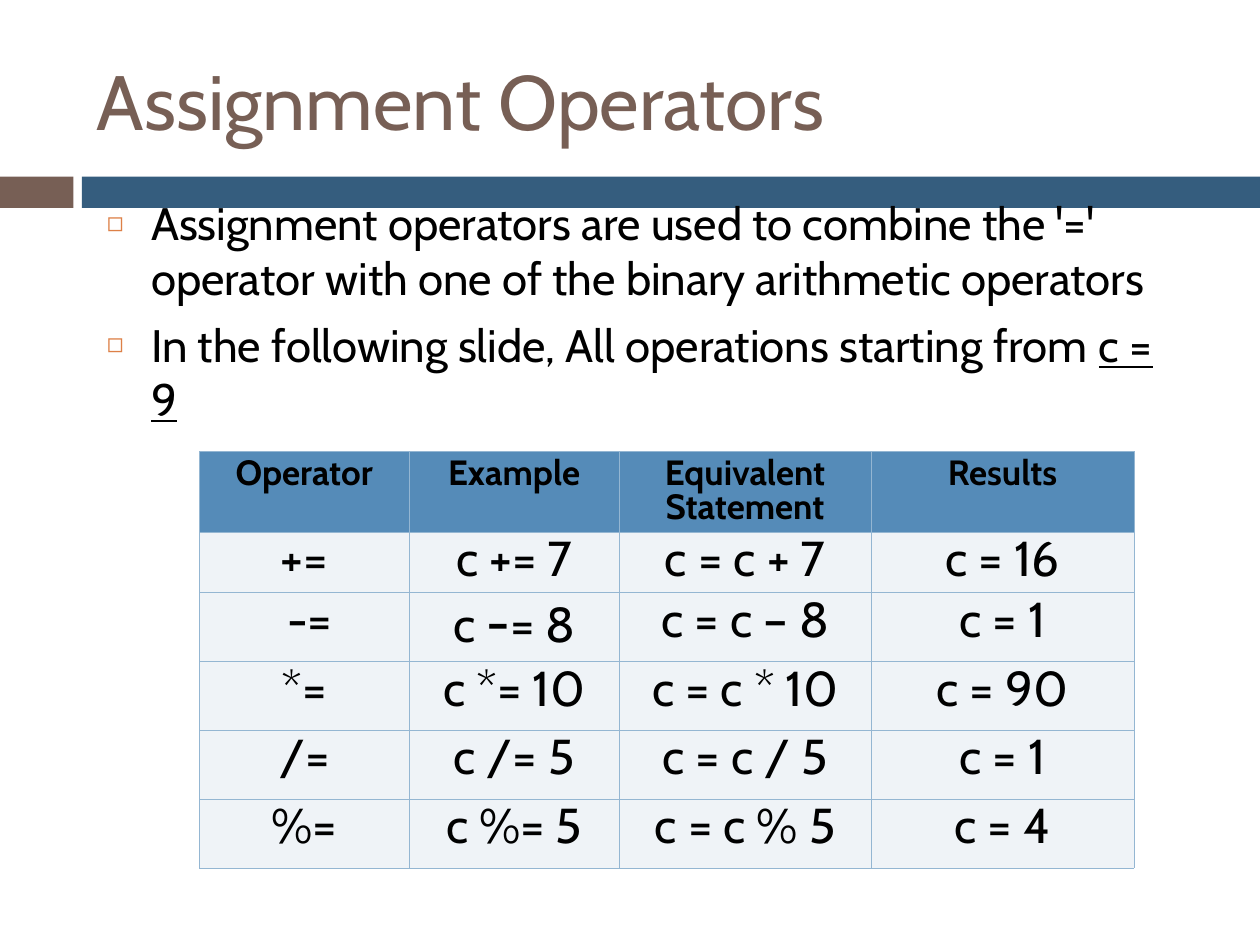
from lxml.etree import SubElement
from pptx import Presentation
from pptx.dml.color import RGBColor
from pptx.enum.shapes import MSO_SHAPE
from pptx.enum.text import MSO_ANCHOR, MSO_AUTO_SIZE, PP_ALIGN
from pptx.oxml import parse_xml
from pptx.oxml.ns import nsdecls, qn
from pptx.util import Cm, Pt


def color(value):
    return RGBColor.from_string(value)


def style(span, size, value="000000", bold=False):
    span.font.name = "Cabin"
    span.font.size = Pt(size)
    span.font.bold = bold
    span.font.color.rgb = color(value)


deck = Presentation()
deck.slide_width = Cm(25.4)
deck.slide_height = Cm(19.05)
page = deck.slides.add_slide(deck.slide_layouts[1])
title, body = page.placeholders

for left, width, fill in [(0, 1.48, "775F55"), (1.65, 23.75, "355D7E")]:
    bar = page.shapes.add_shape(MSO_SHAPE.RECTANGLE, Cm(left), Cm(3.56), Cm(width), Cm(0.63))
    bar.shadow.inherit = False
    bar.fill.solid()
    bar.fill.fore_color.rgb = color(fill)
    bar.line.fill.background()
    title.element.addprevious(bar.element)

title.left, title.top, title.width, title.height = Cm(1.7), Cm(0.64), Cm(22.65), Cm(2.75)
title.text_frame.text = "Assignment Operators"
title.text_frame.auto_size = MSO_AUTO_SIZE.NONE
title.text_frame.vertical_anchor = MSO_ANCHOR.MIDDLE
heading = title.text_frame.paragraphs[0]
heading.alignment = PP_ALIGN.LEFT
style(heading.runs[0], 44, "775F55")

body.left, body.top, body.width, body.height = Cm(1.9), Cm(3.81), Cm(21.6), Cm(13.55)
body.text_frame.text = (
    "Assignment operators are used to combine the '=' operator "
    "with one of the binary arithmetic operators\n"
    "In the following slide, All operations starting from "
)
body.text_frame.auto_size = MSO_AUTO_SIZE.NONE
start_value = body.text_frame.paragraphs[1].add_run()
start_value.text = "c = 9"
start_value.font.underline = True
for para in body.text_frame.paragraphs:
    para.space_before = Pt(7)
    for span in para.runs:
        style(span, 26)
    properties = para._p.get_or_add_pPr()
    properties.set("marL", str(Cm(0.89)))
    properties.set("indent", str(-Cm(0.89)))
    bullet_color = SubElement(properties, qn("a:buClr"))
    SubElement(bullet_color, qn("a:srgbClr"), val="DD8047")
    SubElement(properties, qn("a:buSzPct"), val="60000")
    SubElement(properties, qn("a:buChar"), char="◻")

rows = [
    ["Operator", "Example", "Equivalent Statement", "Results"],
    ["+=", "c += 7", "c = c + 7", "c = 16"],
    [" -=", "c -= 8", "c = c – 8", "c = 1"],
    ["*=", "c *= 10", "c = c * 10", "c = 90"],
    ["/=", "c /= 5", "c = c / 5", "c = 1"],
    ["%=", "c %= 5", "c = c % 5", "c = 4"],
]
column_widths = [4.23, 4.23, 5.08, 5.3]
row_heights = [1.63, 1.22, 1.39, 1.39, 1.39, 1.38]
table = page.shapes.add_table(
    len(rows), len(column_widths), Cm(4.02), Cm(9.1),
    Cm(sum(column_widths)), Cm(sum(row_heights)),
).table
table.first_row = False
table.horz_banding = False
for column, width in zip(table.columns, column_widths):
    column.width = Cm(width)
for row, height in zip(table.rows, row_heights):
    row.height = Cm(height)

for row_index, texts in enumerate(rows):
    header = row_index == 0
    for column_index, text in enumerate(texts):
        cell = table.cell(row_index, column_index)
        cell.fill.solid()
        cell.fill.fore_color.rgb = color("558BB8" if header else "EFF3F7")
        para = cell.text_frame.paragraphs[0]
        para.alignment = PP_ALIGN.CENTER
        para.line_spacing = 0.8
        para.space_before = Pt(5 if header else 7)
        pieces = ["c ", "-", "= 8"] if text == "c -= 8" else [text]
        for piece in pieces:
            span = para.add_run()
            span.text = piece
            style(span, 20 if header else 32 if piece == "-" else 28, bold=header)
        for position, side in enumerate(["lnL", "lnR", "lnT", "lnB"]):
            border = parse_xml(
                f'<a:{side} {nsdecls("a")} w="{Pt(0.45)}"><a:solidFill>'
                f'<a:srgbClr val="94B6D2"/></a:solidFill></a:{side}>'
            )
            cell._tc.get_or_add_tcPr().insert(position, border)

deck.save("out.pptx")
